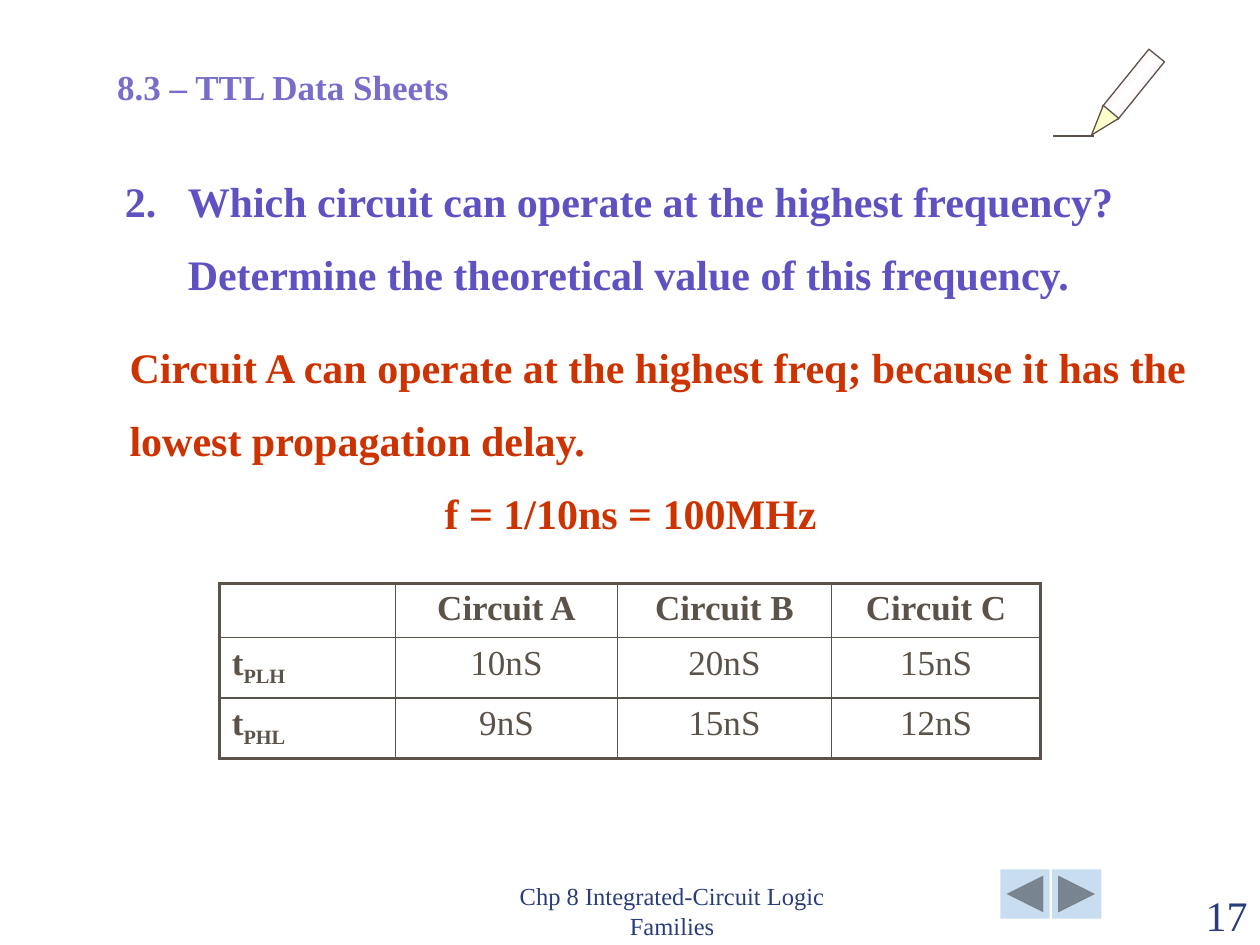
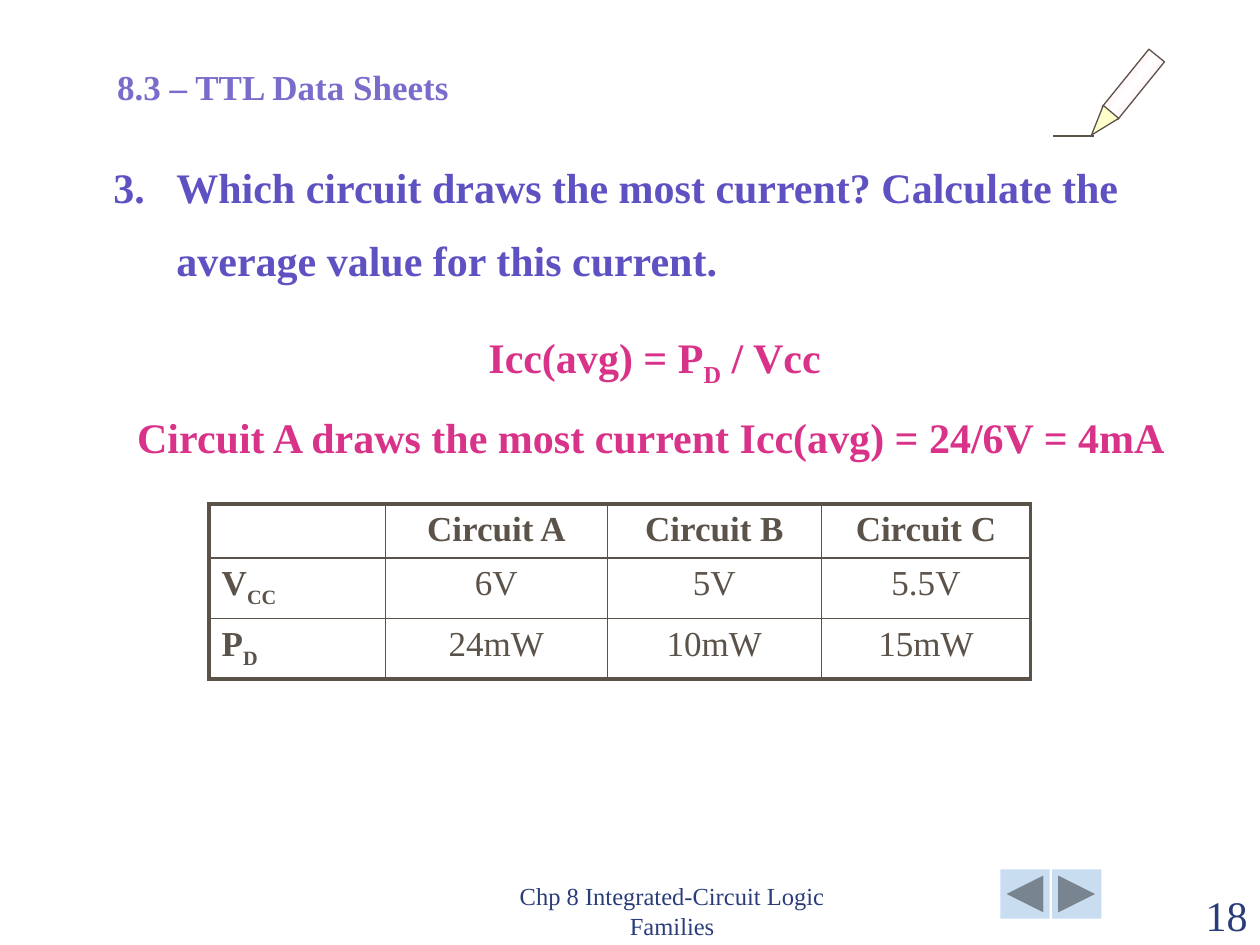
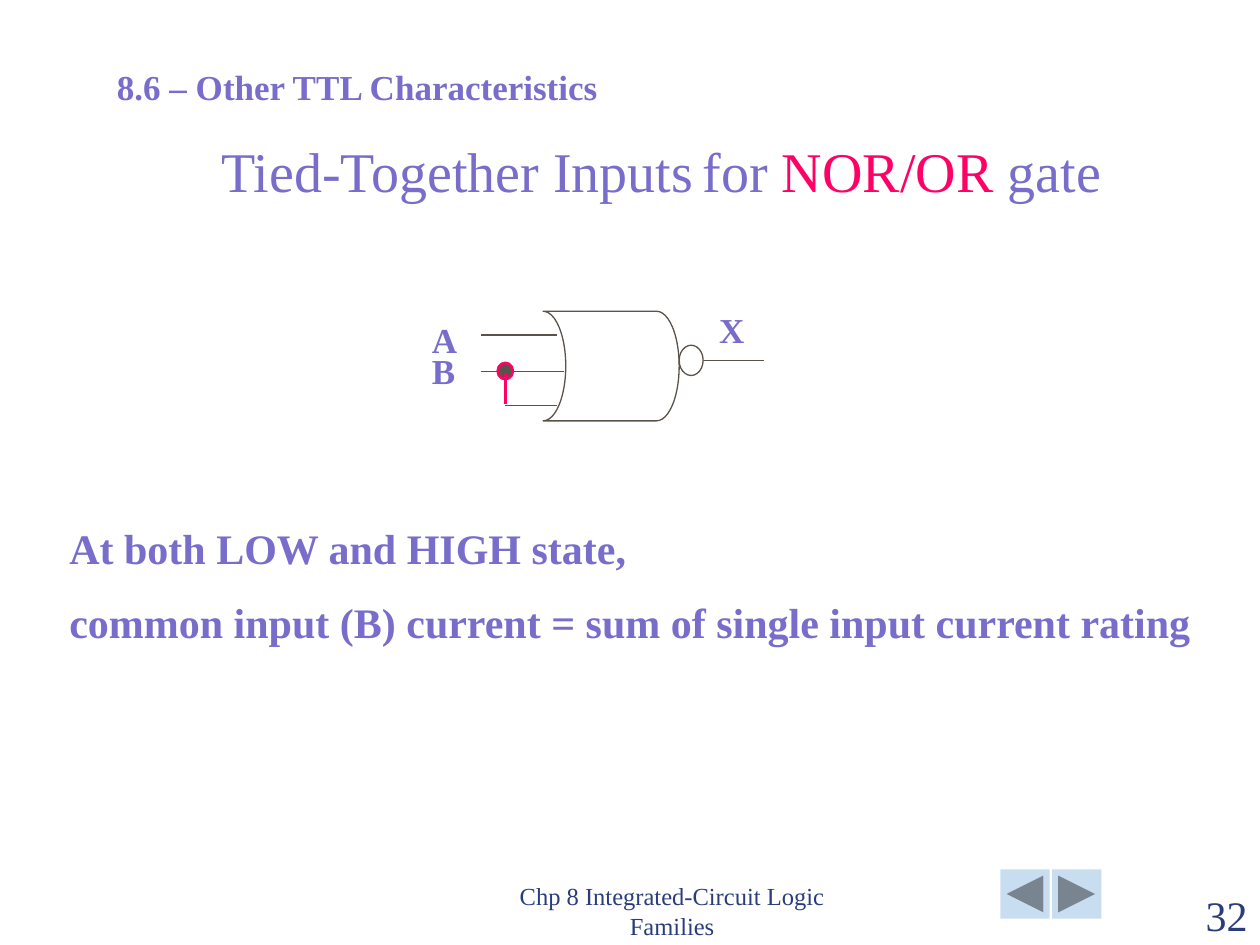
from dataclasses import dataclass

from lxml.etree import SubElement
from pptx import Presentation
from pptx.dml.color import RGBColor
from pptx.enum.shapes import MSO_CONNECTOR, MSO_SHAPE as Preset
from pptx.enum.text import MSO_ANCHOR as Anchor, MSO_AUTO_SIZE, PP_ALIGN as Align
from pptx.oxml import parse_xml
from pptx.oxml.ns import nsdecls, qn
from pptx.util import Inches, Pt

# Shared look
FONT = "Times New Roman"
INK, HEADING, QUESTION = "5B5249", "786DCB", "5E51C1"
RED, MAGENTA, PINK = "CC3300", "D83289", "FF0066"
NAVY, BUTTON, LEAD, PENCIL_EDGE = "2A3D7A", "C9DDF1", "FFFFCC", "FFCCE0"
THIN, THICK = 0.75, 1.5
CHAPTER = "Chp 8 Integrated-Circuit Logic Families"

# Grid of 100 columns by 75 rows
WIDTH, HEIGHT = Inches(10), Inches(7.5)
COLUMN, ROW = WIDTH / 100, HEIGHT / 75


@dataclass(frozen=True)
class Box:
    col: float
    row: float
    cols: float
    rows: float

    def emu(self) -> tuple[int, int, int, int]:
        return (round(self.col * COLUMN), round(self.row * ROW),
                round(self.cols * COLUMN), round(self.rows * ROW))


@dataclass(frozen=True)
class Span:
    text: str
    color: str | None = None
    size: float | None = None
    bold: bool | None = None
    subscript: bool = False


@dataclass(frozen=True)
class Para:
    spans: tuple[Span, ...]
    align: Align = Align.LEFT
    indent: float = 0
    number: int | None = None


@dataclass(frozen=True)
class Style:
    size: float
    color: str
    bold: bool = True
    gap: float = 13
    spacing: float | None = None


@dataclass(frozen=True)
class Exercise:
    page: int
    question_box: Box
    number: int
    question: tuple[str, str]
    answer_box: Box
    answer: tuple[Para, ...]
    answer_color: str
    table_corner: tuple[float, float]
    readings: tuple[tuple[str, ...], ...]


def rgb(color: str) -> RGBColor:
    return RGBColor.from_string(color)


def line(text: str, **options) -> Para:
    return Para((Span(text),), **options)


# Text
def set_font(font, size=None, color=None, bold=None) -> None:
    font.name = FONT
    if size is not None:
        font.size = Pt(size)
    if color is not None:
        font.color.rgb = rgb(color)
    if bold is not None:
        font.bold = bold


def add_spans(paragraph, spans: tuple[Span, ...]) -> None:
    for span in spans:
        run = paragraph.add_run()
        run.text = span.text
        if span.color or span.size or span.bold is not None:
            set_font(run.font, span.size, span.color, span.bold)
        if span.subscript:
            run._r.get_or_add_rPr().set("baseline", "-25000")


def write(frame, paras: tuple[Para, ...], style: Style, anchor=Anchor.TOP) -> None:
    frame.word_wrap = True
    frame.auto_size = MSO_AUTO_SIZE.NONE
    frame.vertical_anchor = anchor
    for index, para in enumerate(paras):
        paragraph = frame.add_paragraph() if index else frame.paragraphs[0]
        paragraph.alignment = para.align
        paragraph.space_before = Pt(style.gap if index else 0)
        if style.spacing:
            paragraph.line_spacing = style.spacing
        props = paragraph._p.get_or_add_pPr()
        margin = round(para.indent * COLUMN)
        props.set("marL", str(margin))
        props.set("indent", str(-margin if para.number else 0))
        if para.number:
            SubElement(props, qn("a:buAutoNum"), type="arabicPeriod", startAt=str(para.number))
        else:
            SubElement(props, qn("a:buNone"))
        set_font(paragraph.font, style.size, style.color, style.bold)
        add_spans(paragraph, para.spans)


def place(placeholder, box: Box):
    placeholder.left, placeholder.top, placeholder.width, placeholder.height = box.emu()
    return placeholder.text_frame


def add_text(slide, box: Box, paras: tuple[Para, ...], style: Style, anchor=Anchor.TOP) -> None:
    write(slide.shapes.add_textbox(*box.emu()).text_frame, paras, style, anchor)


# Shapes
def add_shape(slide, preset, box: Box, fill=None, outline=None, weight=THIN, turn=0.0):
    shape = slide.shapes.add_shape(preset, *box.emu())
    shape.shadow.inherit = False
    shape.rotation = turn
    if fill:
        shape.fill.solid()
        shape.fill.fore_color.rgb = rgb(fill)
    else:
        shape.fill.background()
    if outline:
        shape.line.color.rgb = rgb(outline)
        shape.line.width = Pt(weight)
    else:
        shape.line.fill.background()
    return shape


def add_wire(slide, start: tuple[float, float], end: tuple[float, float],
             color=INK, weight=THIN) -> None:
    (x1, y1), (x2, y2) = start, end
    wire = slide.shapes.add_connector(
        MSO_CONNECTOR.STRAIGHT, round(x1 * COLUMN), round(y1 * ROW),
        round(x2 * COLUMN), round(y2 * ROW))
    wire.line.color.rgb = rgb(color)
    wire.line.width = Pt(weight)
    SubElement(wire._element.spPr, qn("a:effectLst"))


def add_pencil(slide) -> None:
    barrel = add_shape(slide, Preset.RECTANGLE, Box(87, 5.9, 5.9, 1.6), outline=INK, turn=309)
    stops = "".join(f'<a:gs pos="{pos}"><a:srgbClr val="{color}"/></a:gs>' for pos, color in
                    ((0, PENCIL_EDGE), (50000, "FFFFFF"), (100000, PENCIL_EDGE)))
    no_fill = barrel._element.spPr.find(qn("a:noFill"))
    no_fill.getparent().replace(no_fill, parse_xml(
        f'<a:gradFill {nsdecls("a")} rotWithShape="1"><a:gsLst>{stops}</a:gsLst>'
        '<a:lin ang="5400000" scaled="0"/></a:gradFill>'))
    add_shape(slide, Preset.ISOSCELES_TRIANGLE, Box(86.6, 8.6, 1.6, 2.4), LEAD, INK, turn=220.1)
    add_wire(slide, (83.6, 10.8), (86.8, 10.8))


# Table
COLUMN_SHARES = (14, 17.6, 17, 16.6)
ROW_SHARES = (4.3, 4.8, 4.8)
CIRCUITS = ("", "Circuit A", "Circuit B", "Circuit C")


def set_borders(cell, outer: dict[str, bool]) -> None:
    props = cell._tc.get_or_add_tcPr()
    for side, is_outer in outer.items():
        border = SubElement(props, qn(f"a:ln{side}"), w=str(Pt(2.25 if is_outer else 1)))
        SubElement(SubElement(border, qn("a:solidFill")), qn("a:srgbClr"), val=INK)


def add_readings(slide, corner: tuple[float, float], readings) -> None:
    rows = (CIRCUITS, *readings)
    box = Box(*corner, sum(COLUMN_SHARES), sum(ROW_SHARES))
    table = slide.shapes.add_table(len(rows), len(CIRCUITS), *box.emu()).table
    table.first_row = table.horz_banding = False
    for column, share in zip(table.columns, COLUMN_SHARES):
        column.width = round(share * COLUMN)
    for row, share in zip(table.rows, ROW_SHARES):
        row.height = round(share * ROW)
    last_row, last_col = len(rows) - 1, len(CIRCUITS) - 1
    for r, values in enumerate(rows):
        for c, value in enumerate(values):
            cell = table.cell(r, c)
            set_borders(cell, {"L": c == 0, "R": c == last_col, "T": r == 0, "B": r == last_row})
            cell.fill.background()
            paragraph = cell.text_frame.paragraphs[0]
            paragraph.alignment = Align.CENTER if c else Align.LEFT
            set_font(paragraph.font, 20, INK, r == 0 or c == 0)
            if value and r and not c:
                add_spans(paragraph, (Span(value[0]), Span(value[1:], subscript=True)))
            elif value:
                add_spans(paragraph, (Span(value),))


# Slide frame
SECTION_BOX = Box(8.3, 4.7, 42, 4.3)
SECTION_STYLE = Style(20, HEADING)
BODY_SIZE = 24


def start_slide(deck, page: int):
    slide = deck.slides.add_slide(deck.slide_layouts[1])
    for col, preset in ((79.4, Preset.ACTION_BUTTON_BACK_OR_PREVIOUS),
                        (83.5, Preset.ACTION_BUTTON_FORWARD_OR_NEXT)):
        add_shape(slide, preset, Box(col, 69, 3.9, 3.9), BUTTON)
    add_text(slide, Box(37.5, 70.1, 31.7, 5), (line(CHAPTER, align=Align.CENTER),),
             Style(14, NAVY, False), Anchor.BOTTOM)
    add_text(slide, Box(90, 70.1, 10, 5), (line(str(page), align=Align.RIGHT),),
             Style(24, NAVY, False), Anchor.BOTTOM)
    return slide


# Exercises on data sheets
EXERCISES = (
    Exercise(
        17, Box(8.9, 13.4, 84, 11), 2,
        ("Which circuit can operate at the highest frequency?",
         "Determine the theoretical value of this frequency."),
        Box(9.3, 26.6, 87.2, 17),
        (line("Circuit A can operate at the highest freq; because it has the"),
         line("lowest propagation delay."),
         line("f = 1/10ns = 100MHz", indent=25)),
        RED, (17.4, 46.3),
        (("tPLH", "10nS", "20nS", "15nS"), ("tPHL", "9nS", "15nS", "12nS"))),
    Exercise(
        18, Box(8, 12.3, 85, 11), 3,
        ("Which circuit draws the most current? Calculate the",
         "average value for this current."),
        Box(9.9, 25.8, 84.1, 11),
        (Para((Span("Icc(avg) = P"), Span("D", subscript=True), Span(" / Vcc")), Align.CENTER),
         line("Circuit A draws the most current Icc(avg) = 24/6V = 4mA")),
        MAGENTA, (16.6, 40),
        (("VCC", "6V", "5V", "5.5V"), ("PD", "24mW", "10mW", "15mW"))),
)


def build_exercise(deck, exercise: Exercise) -> None:
    slide = start_slide(deck, exercise.page)
    write(place(slide.shapes.title, SECTION_BOX), (line("8.3 – TTL Data Sheets"),), SECTION_STYLE)
    first, second = exercise.question
    write(place(slide.placeholders[1], exercise.question_box),
          (line(first, indent=5, number=exercise.number), line(second, indent=5)),
          Style(BODY_SIZE, QUESTION))
    add_text(slide, exercise.answer_box, exercise.answer, Style(BODY_SIZE, exercise.answer_color))
    add_readings(slide, exercise.table_corner, exercise.readings)
    add_pencil(slide)


# Gate with tied inputs
INPUT_WIRES = ((38.2, 44.2, 26.6), (38.2, 44.8, 29.5), (40.1, 44.2, 32.2))


def add_gate(slide) -> None:
    for start, end, row in (*INPUT_WIRES, (55.9, 60.6, 28.6)):
        add_wire(slide, (start, row), (end, row))
    add_shape(slide, Preset.OVAL, Box(39.5, 28.8, 1.2, 1.3), INK, PINK, THICK)
    add_wire(slide, (40.1, 32.1), (40.1, 29.7), PINK, THICK)
    add_shape(slide, Preset.OVAL, Box(53.9, 27.4, 1.9, 2.4), outline=INK)
    add_shape(slide, Preset.FLOWCHART_STORED_DATA, Box(43.1, 24.7, 10.8, 8.7), outline=INK, turn=180)
    add_text(slide, Box(56.1, 24, 5, 4.3), (line("X"),), SECTION_STYLE)
    add_text(slide, Box(33.3, 26.8, 5, 4.7), (line("A"), line("B")),
             Style(20, HEADING, gap=10, spacing=0.3))


def build_tied_inputs(deck) -> None:
    slide = start_slide(deck, 32)
    title = Para((Span("Tied-Together Inputs"), Span(" ", size=20, bold=True), Span("for "),
                  Span("NOR/OR", color=PINK), Span(" gate")), Align.CENTER)
    write(place(slide.shapes.title, Box(10, 9.2, 85, 7.5)), (title,),
          Style(32, HEADING, False), Anchor.BOTTOM)
    add_text(slide, SECTION_BOX, (line("8.6 – Other TTL Characteristics"),), SECTION_STYLE)
    add_gate(slide)
    write(place(slide.placeholders[1], Box(4.5, 41, 92.1, 11)),
          (line("At both LOW and HIGH state,"),
           line("common input (B) current = sum of single input current rating")),
          Style(BODY_SIZE, HEADING))


def main() -> None:
    deck = Presentation()
    deck.slide_width, deck.slide_height = WIDTH, HEIGHT
    for exercise in EXERCISES:
        build_exercise(deck, exercise)
    build_tied_inputs(deck)
    deck.save("out.pptx")


if __name__ == "__main__":
    main()
